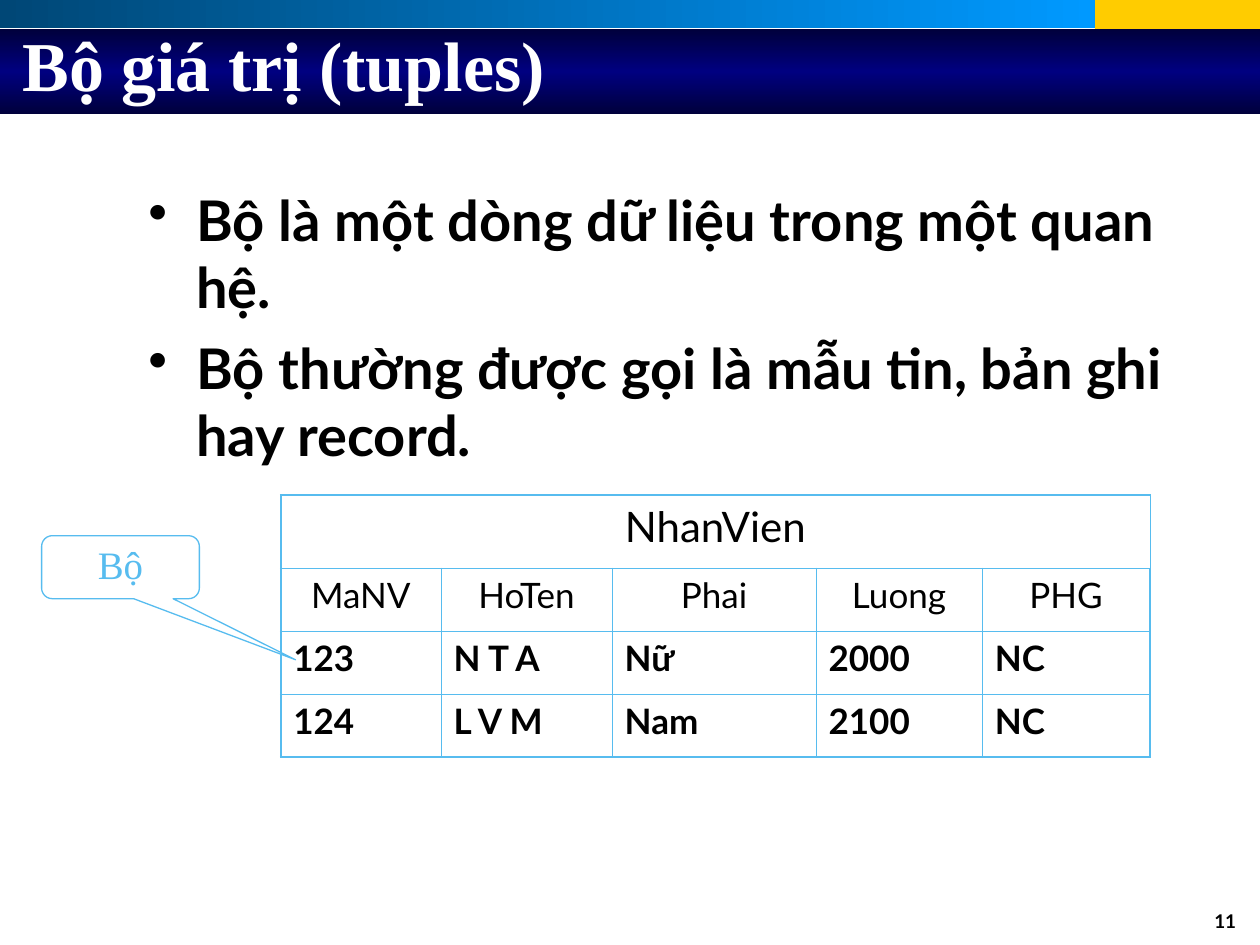
from copy import deepcopy
from dataclasses import dataclass

from lxml.etree import SubElement
from pptx import Presentation
from pptx.dml.color import RGBColor
from pptx.enum.shapes import MSO_SHAPE
from pptx.enum.text import MSO_ANCHOR, MSO_AUTO_SIZE, PP_ALIGN
from pptx.oxml.ns import qn
from pptx.util import Cm, Pt


@dataclass(frozen=True)
class Theme:
    """Colours, fonts and type sizes of the deck."""
    white: str = "FFFFFF"
    black: str = "000000"
    gold: str = "FFCC00"
    sky: str = "57BCEF"
    strip: tuple = ("004776", "0099FF")
    banner: tuple = ("00003B", "000080", "00003B")
    serif: str = "Times New Roman"
    sans: str = "Lato"
    title: float = 40
    body: float = 32
    caption: float = 24
    callout: float = 22.2
    cell: float = 20
    number: float = 10.8
    outer: float = 1.08
    inner: float = 0.45


class Deck:
    """Style and current slide, with one method per kind of element."""

    def __init__(self, theme):
        """Open a presentation with one title-only slide."""
        self.theme = theme
        self.prs = Presentation()
        self.prs.slide_width, self.prs.slide_height = Cm(25.4), Cm(19.05)
        self.s = self.prs.slides.add_slide(self.prs.slide_layouts[5])

    def style(self, p, size, color, font, bold=False, align=PP_ALIGN.LEFT):
        """Format a paragraph and its runs."""
        p.alignment = align
        for r in p.runs:
            r.font.size, r.font.name, r.font.bold = Pt(size), font, bold
            r.font.color.rgb = RGBColor.from_string(color)

    def shape(self, kind, box, fill):
        """Add a preset shape without line or shadow."""
        sp = self.s.shapes.add_shape(kind, *map(Cm, box))
        sp.shadow.inherit = False
        sp.fill.solid()
        sp.fill.fore_color.rgb = RGBColor.from_string(fill)
        sp.line.fill.background()
        return sp

    def gradient(self, box, colors, angle):
        """Add a rectangle with evenly spaced gradient stops."""
        sp = self.shape(MSO_SHAPE.RECTANGLE, box, colors[0])
        sp.fill.gradient()
        sp.fill.gradient_angle = angle
        stops = sp.element.spPr.find(".//" + qn("a:gsLst"))
        for _ in colors[2:]:
            stops.append(deepcopy(stops[0]))
        for i, (stop, color) in enumerate(zip(sp.fill.gradient_stops, colors)):
            stop.position = i / (len(colors) - 1)
            stop.color.rgb = RGBColor.from_string(color)

    def title(self, text, box):
        """Place the title above the banner."""
        sp, t = self.s.shapes.title, self.theme
        sp.left, sp.top, sp.width, sp.height = map(Cm, box)
        sp.element.getparent().append(sp.element)
        tf = sp.text_frame
        tf.text = text
        tf.auto_size, tf.vertical_anchor = MSO_AUTO_SIZE.NONE, MSO_ANCHOR.MIDDLE
        self.style(tf.paragraphs[0], t.title, t.white, t.serif, True)

    def text(self, lines, box, size, align=PP_ALIGN.LEFT, bullet=False):
        """Add a bold text box with one paragraph per line."""
        tf = self.s.shapes.add_textbox(*map(Cm, box)).text_frame
        tf.word_wrap = True
        tf.text = "\n".join(lines)
        for i, p in enumerate(tf.paragraphs):
            if bullet:
                pPr = p._p.get_or_add_pPr()
                pPr.set("marL", str(Cm(0.97)))
                pPr.set("indent", str(-Cm(0.97)))
                SubElement(pPr, qn("a:buChar"), char="•")
            if i:
                p.space_before = Pt(8)
            self.style(p, size, self.theme.black, self.theme.sans, True, align)

    def borders(self, cell, widths):
        """Draw the left, right, top and bottom borders of a cell."""
        tcPr = cell._tc.get_or_add_tcPr()
        for side, width in zip("LRTB", widths):
            ln = SubElement(tcPr, qn(f"a:ln{side}"), w=str(Pt(width)))
            fill = SubElement(ln, qn("a:solidFill"))
            SubElement(fill, qn("a:srgbClr"), val=self.theme.sky)

    def table(self, caption, rows, box, widths, heights):
        """Add a table with a merged caption, a header row and data rows."""
        t = self.theme
        grid = [[caption] + [""] * (len(widths) - 1)] + rows
        last_row, last_col = len(heights) - 1, len(widths) - 1
        tbl = self.s.shapes.add_table(len(heights), len(widths), *map(Cm, box)).table
        tbl.first_row = tbl.horz_banding = False
        for col, width in zip(tbl.columns, widths):
            col.width = Cm(width)
        for row, height in zip(tbl.rows, heights):
            row.height = Cm(height)
        for i, values in enumerate(grid):
            for j, value in enumerate(values):
                cell = tbl.cell(i, j)
                edges = (j == 0, j == last_col, i == 0, i == last_row)
                self.borders(cell, [t.outer if e else t.inner for e in edges])
                cell.fill.background()
                cell.text = value
                self.style(cell.text_frame.paragraphs[0],
                           t.cell if i else t.caption, t.black, t.sans, i > 1,
                           PP_ALIGN.LEFT if i > 1 else PP_ALIGN.CENTER)
        tbl.cell(0, 0).merge(tbl.cell(0, last_col))

    def callout(self, text, box, adjustments):
        """Add a rounded callout with outlined body."""
        t = self.theme
        sp = self.shape(MSO_SHAPE.ROUNDED_RECTANGULAR_CALLOUT, box, t.white)
        for i, value in enumerate(adjustments):
            sp.adjustments[i] = value
        sp.line.color.rgb = RGBColor.from_string(t.sky)
        sp.line.width = Pt(0.75)
        tf = sp.text_frame
        tf.text = text
        tf.vertical_anchor = MSO_ANCHOR.MIDDLE
        p = tf.paragraphs[0]
        p.line_spacing = 0.9
        self.style(p, t.callout, t.sky, t.serif, align=PP_ALIGN.CENTER)


def main():
    """Build the slide on tuples."""
    t = Theme()
    deck = Deck(t)
    deck.shape(MSO_SHAPE.RECTANGLE, (22.07, 0, 3.33, 0.71), t.gold)
    deck.gradient((0, 0, 22.07, 0.56), t.strip, 0)
    deck.gradient((0, 0.58, 25.4, 1.73), t.banner, 90)
    deck.text(["11"], (19.25, 18.21, 5.92, 0.81), t.number, PP_ALIGN.RIGHT)
    deck.title("Bộ giá trị (tuples)", (0.2, 0.43, 16.08, 1.7))
    deck.text(["Bộ là một dòng dữ liệu trong một quan hệ.",
               "Bộ thường được gọi là mẫu tin, bản ghi hay record."],
              (2.74, 3.61, 21.59, 11.43), t.body, bullet=True)
    deck.table("NhanVien",
               [["MaNV", "HoTen", "Phai", "Luong", "PHG"],
                ["123", "N T A", "Nữ", "2000", "NC"],
                ["124", "L V M", "Nam", "2100", "NC"]],
               (5.66, 9.98, 17.52, 5.28),
               (3.23, 3.45, 4.11, 3.35, 3.38), (1.47, 1.27, 1.27, 1.27))
    deck.callout("Bộ", (0.84, 10.8, 3.18, 1.27), (1.11, 1.47, 0.17))
    deck.prs.save("out.pptx")


if __name__ == "__main__":
    main()
